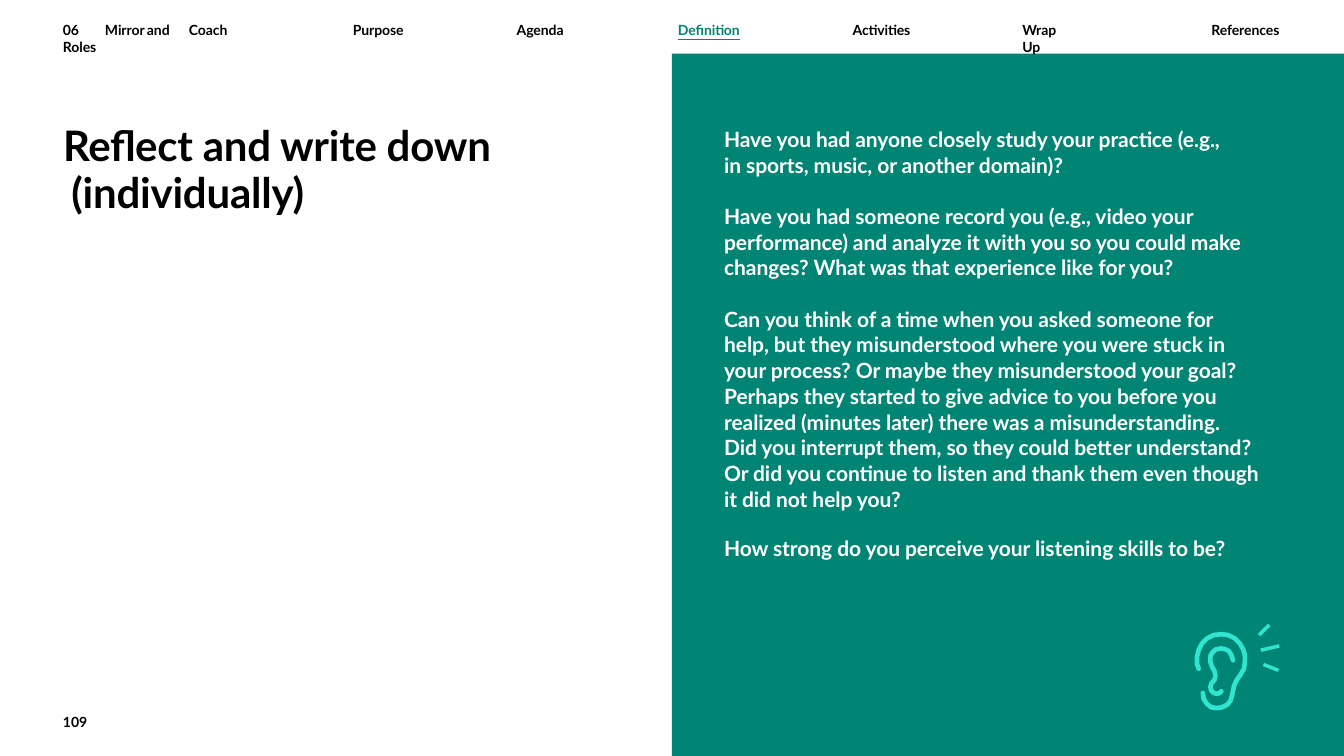
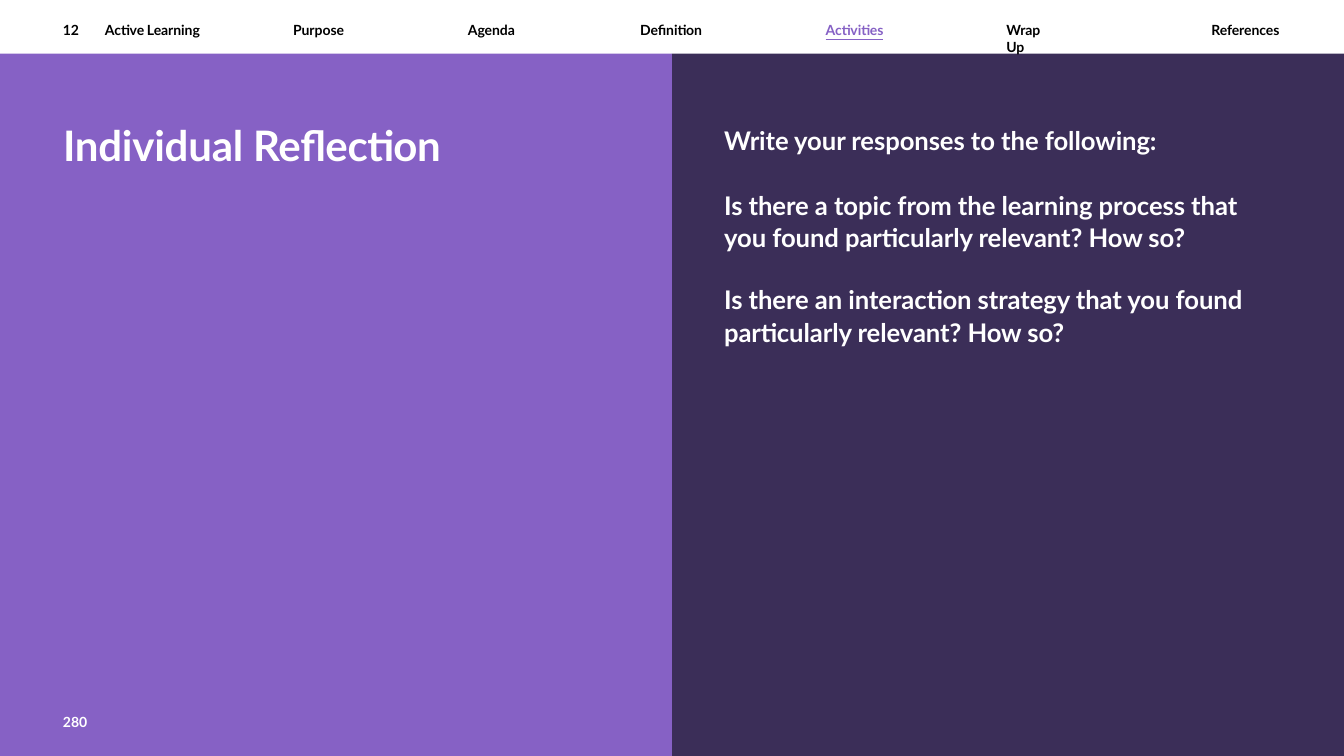
from copy import deepcopy

from lxml import etree
from pptx import Presentation
from pptx import util as u
from pptx.dml.color import RGBColor
from pptx.enum import shapes, text
from pptx.oxml.ns import qn

FONT = "Lato"
BLACK = RGBColor(0x00, 0x00, 0x00)
WHITE = RGBColor(0xFF, 0xFF, 0xFF)
GREEN = RGBColor(0x00, 0x85, 0x75)
MINT = RGBColor(0x30, 0xE5, 0xD0)
VIOLET = RGBColor(0x86, 0x61, 0xC5)
PLUM = RGBColor(0x3B, 0x2E, 0x58)

MARGIN, HALF, HEADER = 0.75, 8, 0.64
NAV_TOP, NAV_HEIGHT, REFERENCES_LEFT = 0.26, 0.22, 14.42
SECTIONS = [("Purpose", 0.64), ("Agenda", 0.61), ("Definition", 0.77),
            ("Activities", 0.71), ("Wrap\vUp", 0.8)]

LESSONS = [
    {
        "module": "06\tMirror\tand\tCoach\vRoles", "tabs": (0.35, 0.98, 1.41),
        "nav_start": 4.2, "nav_gap": 1.31, "current": "Definition", "accent": GREEN,
        "panels": [(HALF, GREEN)], "ink": BLACK, "page": "109",
        "title": "Reflect and write down\v(individually)",
        "size": 18, "spacing": 1.02, "body_top": 1.5,
        "questions": [
            ("Have you had anyone closely study your practice (e.g.,\v"
             "in sports, music, or another domain)?", 0),
            ("Have you had someone record you (e.g., video your\v"
             "performance) and analyze it with you so you could make\v"
             "changes? What was that experience like for you?", 22),
            ("Can you think of a time when you asked someone for\v"
             "help, but they misunderstood where you were stuck in\v"
             "your process? Or maybe they misunderstood your goal?\v"
             "Perhaps they started to give advice to you before you\v"
             "realized (minutes later) there was a misunderstanding.", 22),
            ("Did you interrupt them, so they could better understand?\v"
             "Or did you continue to listen and thank them even though\v"
             "it did not help you?", 0),
            ("How strong do you perceive your listening skills to be?", 20),
        ],
    },
    {
        "module": "12\tActive\tLearning", "tabs": (0.33, 0.96),
        "nav_start": 3.49, "nav_gap": 1.44, "current": "Activities", "accent": VIOLET,
        "panels": [(0, VIOLET), (HALF, PLUM)], "ink": WHITE, "page": "280",
        "title": "Individual Reflection",
        "size": 22, "spacing": 1.06, "body_top": 1.46,
        "questions": [
            ("Write your responses to the following:", 0),
            ("Is there a topic from the learning process that\v"
             "you found particularly relevant? How so?", 28),
            ("Is there an interaction strategy that you found\v"
             "particularly relevant? How so?", 25),
        ],
    },
]

EAR_CURVES = [
    [(14.27, 7.96), (14.25, 7.9), (14.25, 7.82), (14.27, 7.74), (14.31, 7.66),
     (14.37, 7.6), (14.45, 7.56), (14.54, 7.55), (14.62, 7.56), (14.7, 7.6),
     (14.76, 7.66), (14.8, 7.73), (14.82, 7.8), (14.82, 7.88), (14.81, 7.96),
     (14.77, 8.03), (14.72, 8.1), (14.69, 8.17), (14.67, 8.27), (14.65, 8.34),
     (14.61, 8.39), (14.55, 8.42), (14.49, 8.43), (14.42, 8.42), (14.37, 8.38),
     (14.33, 8.32), (14.32, 8.25)],
    [(14.68, 7.86), (14.66, 7.8), (14.63, 7.75), (14.59, 7.73), (14.54, 7.72),
     (14.48, 7.73), (14.44, 7.76), (14.41, 7.81), (14.41, 7.88), (14.43, 7.94),
     (14.46, 7.99), (14.47, 8.04), (14.46, 8.09), (14.42, 8.14), (14.41, 8.18),
     (14.42, 8.22), (14.45, 8.25), (14.49, 8.26), (14.52, 8.25), (14.54, 8.23)],
]
SOUND_WAVES = [(14.99, 7.56, 15.11, 7.44), (15.01, 7.74, 15.23, 7.69),
               (15.04, 7.91, 15.22, 7.98)]


def write(frame, paragraphs, size=12, color=BLACK, underline=None, tracking=-5,
          spacing=None, tabs=(), hanging=0):
    frame.word_wrap = True
    frame.auto_size = text.MSO_AUTO_SIZE.NONE
    frame.vertical_anchor = text.MSO_ANCHOR.TOP
    frame.margin_left = frame.margin_right = frame.margin_top = frame.margin_bottom = 0
    for index, (content, gap) in enumerate(paragraphs):
        paragraph = frame.add_paragraph() if index else frame.paragraphs[0]
        properties = paragraph._p.get_or_add_pPr()
        properties.set("marL", str(u.Inches(hanging)))
        properties.set("indent", str(-u.Inches(hanging)))
        etree.SubElement(properties, qn("a:buNone"))
        if tabs:
            stops = etree.SubElement(properties, qn("a:tabLst"))
            for stop in tabs:
                etree.SubElement(stops, qn("a:tab"), pos=str(u.Inches(stop)), algn="l")
        paragraph.alignment = text.PP_ALIGN.LEFT
        paragraph.space_before = u.Pt(gap)
        if spacing:
            paragraph.line_spacing = spacing
        for number, line in enumerate(content.split("\v")):
            if number:
                paragraph.add_line_break()
            run = paragraph.add_run()
            run.text = line
            run.font.name, run.font.size, run.font.bold = FONT, u.Pt(size), True
            run.font.underline = underline
            run.font.color.rgb = color
            run_format = run._r.get_or_add_rPr()
            run_format.set("spc", str(tracking))
        for line_break in paragraph._p.findall(qn("a:br")):
            line_break.append(deepcopy(run_format))


def place(shape, left, top, width, height):
    shape.left, shape.top = u.Inches(left), u.Inches(top)
    shape.width, shape.height = u.Inches(width), u.Inches(height)


def add_label(slide, content, left, top, width, **style):
    label = slide.shapes.add_textbox(*map(u.Inches, (left, top, width, NAV_HEIGHT)))
    write(label.text_frame, [(content, 0)], **style)


def add_panel(slide, left, color):
    panel = slide.shapes.add_shape(
        shapes.MSO_SHAPE.RECTANGLE, *map(u.Inches, (left, HEADER, HALF, 9 - HEADER)))
    panel.shadow.inherit = False
    panel.fill.solid()
    panel.fill.fore_color.rgb = color
    panel.line.fill.background()
    slide.shapes._spTree.insert(2, panel._element)


def add_navigation(slide, lesson):
    add_label(slide, lesson["module"], MARGIN, NAV_TOP, 2.43, tabs=lesson["tabs"])
    left = lesson["nav_start"]
    for section, width in SECTIONS:
        current = section == lesson["current"]
        add_label(slide, section, left, NAV_TOP, width, underline=current or None,
                  color=lesson["accent"] if current else BLACK)
        left += width + lesson["nav_gap"]
    add_label(slide, "References", REFERENCES_LEFT, NAV_TOP, 0.85)


def add_listening_ear(slide):
    for curve in EAR_CURVES:
        points = [(u.Inches(x), u.Inches(y)) for x, y in curve]
        builder = slide.shapes.build_freeform(*points[0])
        builder.add_line_segments(points[1:], close=False)
        stroke = builder.convert_to_shape()
        stroke.shadow.inherit = False
        stroke.fill.background()
        stroke.line.color.rgb, stroke.line.width = MINT, u.Pt(4)
        stroke.line._get_or_add_ln().set("cap", "rnd")
    for ends in SOUND_WAVES:
        wave = slide.shapes.add_connector(
            shapes.MSO_CONNECTOR.STRAIGHT, *map(u.Inches, ends))
        wave.line.color.rgb, wave.line.width = MINT, u.Pt(3)
        etree.SubElement(wave._element.spPr, qn("a:effectLst"))


def add_lesson(deck, lesson):
    slide = deck.slides.add_slide(deck.slide_layouts[1])
    title, body = slide.placeholders
    for left, color in lesson["panels"]:
        add_panel(slide, left, color)
    place(title, MARGIN, 1.47, 6, 1.12)
    write(title.text_frame, [(lesson["title"], 0)], size=36, color=lesson["ink"],
          tracking=-20, spacing=u.Pt(40), hanging=0.1)
    place(body, 8.62, lesson["body_top"], 6.6, 5.2)
    write(body.text_frame, lesson["questions"], size=lesson["size"], color=WHITE,
          spacing=lesson["spacing"])
    add_navigation(slide, lesson)
    add_label(slide, lesson["page"], MARGIN, 8.5, 0.4, color=lesson["ink"], tracking=0)
    return slide


def main():
    deck = Presentation()
    deck.slide_width, deck.slide_height = u.Inches(16), u.Inches(9)
    reflection, _ = [add_lesson(deck, lesson) for lesson in LESSONS]
    add_listening_ear(reflection)
    deck.save("out.pptx")


if __name__ == "__main__":
    main()
